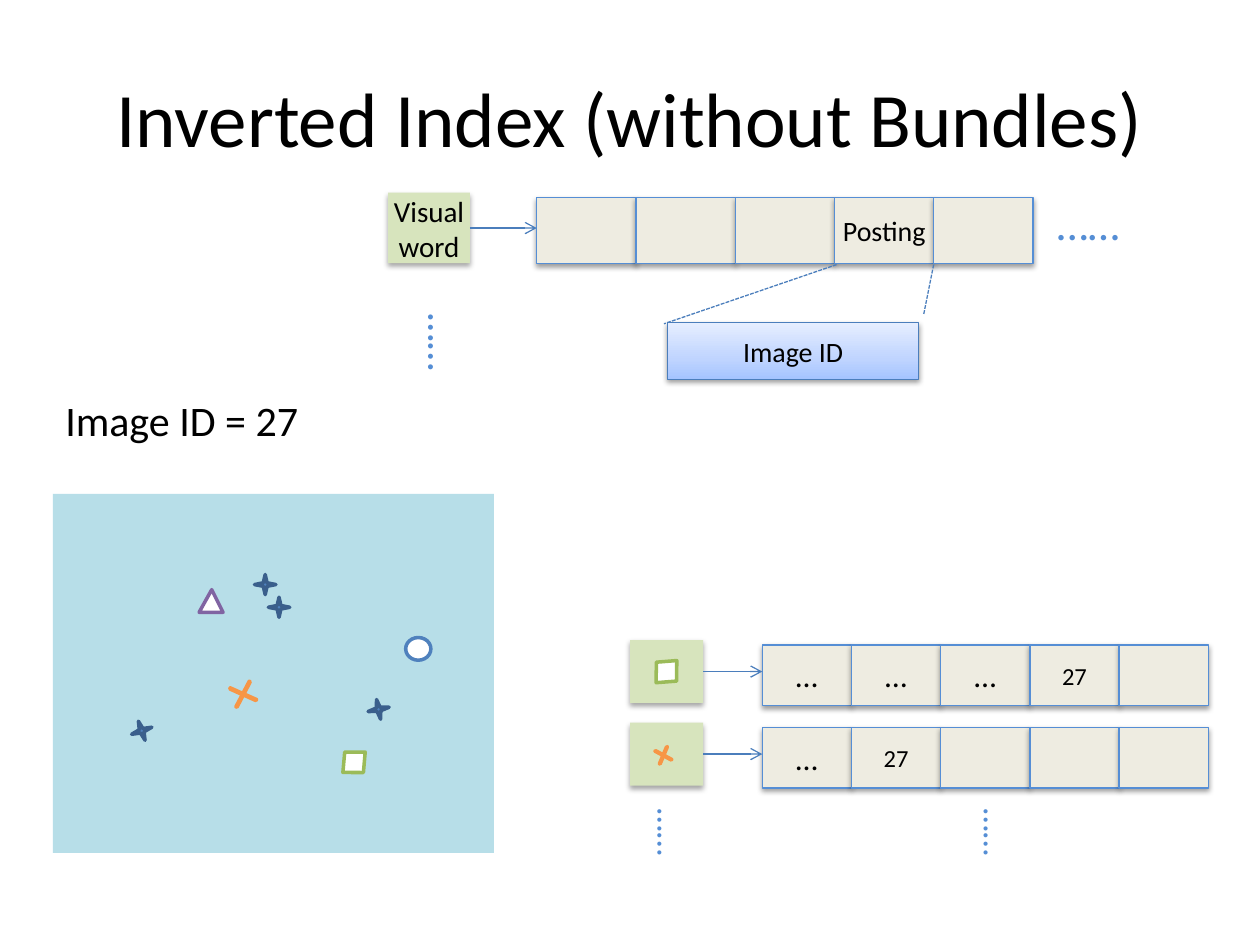
from copy import deepcopy

from lxml import etree
from pptx import Presentation, util as u
from pptx.dml.color import RGBColor
from pptx.enum import dml, shapes, text
from pptx.oxml import ns

# Grid of 100 columns by 75 rows over the slide
W, H = u.Inches(10), u.Inches(7.5)
COLS, ROWS = 100, 75
KIND = shapes.MSO_SHAPE
BLACK, WHITE, BLUE, EDGE = "000000", "FFFFFF", "558ED5", "4B7EBC"
GREEN, SAND = "D7E4BD", "EEECE1"


def rgb(value):
    return RGBColor.from_string(value)


def col(n):
    return int(W * n / COLS)


def row(n):
    return int(H * n / ROWS)


def place(box):
    x, y, w, h = box
    return col(x), row(y), col(w), row(h)


def write(sp, words, size, color=BLACK, align=text.PP_ALIGN.CENTER, inset=None):
    tf = sp.text_frame
    tf.word_wrap = True
    tf.vertical_anchor = text.MSO_ANCHOR.MIDDLE
    if inset:
        tf.margin_left = tf.margin_right = u.Inches(inset[0])
        tf.margin_top = tf.margin_bottom = u.Inches(inset[1])
    tf.text = words
    for p in tf.paragraphs:
        p.alignment = align
        p.font.name, p.font.size = "Calibri", u.Pt(size)
        p.font.color.rgb = rgb(color)
    return tf


def label(s, box, words, size, color=BLACK, align=text.PP_ALIGN.LEFT):
    tf = write(s.shapes.add_textbox(*place(box)), words, size, color, align)
    tf.vertical_anchor = text.MSO_ANCHOR.TOP
    return tf


def dots(s, box, size, vertical=True):
    tf = label(s, box, "……", size, BLUE)
    if vertical:
        tf._txBody.bodyPr.set("vert", "eaVert")


def shape(s, kind, box, fill, line=None, width=0.75, turn=0, adj=None):
    sp = s.shapes.add_shape(kind, *place(box))
    sp.shadow.inherit = False
    sp.rotation = turn
    if adj is not None:
        sp.adjustments[0] = adj
    sp.fill.solid()
    sp.fill.fore_color.rgb = rgb(fill)
    if line:
        sp.line.color.rgb = rgb(line)
        sp.line.width = u.Pt(width)
    else:
        sp.line.fill.background()
    return sp


def add_shadow(sp, alpha=38, dist=1.6):
    effects = sp._element.spPr.find(ns.qn("a:effectLst"))
    shadow = etree.SubElement(effects, ns.qn("a:outerShdw"), blurRad=str(u.Pt(3.1)),
                              dist=str(u.Pt(dist)), dir="5400000", rotWithShape="0")
    color = etree.SubElement(shadow, ns.qn("a:srgbClr"), val=BLACK)
    etree.SubElement(color, ns.qn("a:alpha"), val=str(alpha * 1000))


def connector(s, x1, y1, x2, y2):
    c = s.shapes.add_connector(shapes.MSO_CONNECTOR.STRAIGHT, x1, y1, x2, y2)
    c.line.color.rgb = rgb(EDGE)
    c.line.width = u.Pt(0.75)
    etree.SubElement(c._element.spPr, ns.qn("a:effectLst"))
    return c


def callout_edge(s, x1, y1, x2, y2):
    c = connector(s, col(x1), row(y1), col(x2), row(y2))
    c.line.dash_style = dml.MSO_LINE.SQUARE_DOT


def index_row(s, word_box, cells_box, entries, word=""):
    """A visual word, an arrow and its list of postings."""
    head = shape(s, KIND.RECTANGLE, word_box, GREEN)
    add_shadow(head, 35, 1.8)
    if word:
        write(head, word, 16.6, inset=(0.04, 0.04))

    x, y, w, h = cells_box
    for i, (words, size) in enumerate(entries):
        cell = shape(s, KIND.RECTANGLE, (x + i * w, y, w, h), SAND, BLUE)
        add_shadow(cell)
        if words:
            write(cell, words, size, inset=(0.04, 0.05))

    middle = head.top + head.height // 2
    arrow = connector(s, head.left + head.width, middle, col(x), middle)
    arrow.begin_connect(head, 3)
    ln = arrow._element.spPr.find(ns.qn("a:ln"))
    etree.SubElement(ln, ns.qn("a:tailEnd"), type="arrow")


def gradient(sp, stops):
    sp.fill.gradient()
    sp.fill.gradient_angle = 90
    stop_list = sp._element.spPr.find(".//" + ns.qn("a:gsLst"))
    while len(stop_list) < len(stops):
        stop_list.append(deepcopy(stop_list[-1]))
    for stop, (position, color) in zip(sp.fill.gradient_stops, stops):
        stop.position = position
        stop.color.rgb = rgb(color)


def star(s, x, y, turn=0):
    shape(s, KIND.STAR_4_POINT, (x, y, 1.7, 1.6), "4F81BD", "3A5F8C", 2, turn)


def cross(s, box):
    shape(s, KIND.MATH_MULTIPLY, box, WHITE, "F79646", 2, 340.8, 0.03)


def square(s, x, y, turn):
    shape(s, KIND.DIAMOND, (x, y, 2.4, 2.2), WHITE, "9BBB59", 2, turn)


def sample_image(s):
    shape(s, KIND.RECTANGLE, (4.2, 39.2, 35, 28.5), "B7DEE8")
    shape(s, KIND.ISOSCELES_TRIANGLE, (15.8, 46.8, 1.9, 1.8), WHITE, "8064A2", 2, adj=0.53)
    for x, y, turn in [(20.2, 45.6, 0), (21.3, 47.4, 0),
                       (10.4, 57.2, 340.8), (29.2, 55.5, 348.4)]:
        star(s, x, y, turn)
    cross(s, (17.7, 53.6, 3.2, 3))
    shape(s, KIND.OVAL, (32.2, 50.6, 2, 1.8), WHITE, "4F81BD", 2)
    square(s, 26.9, 59.4, 317.6)


def index_structure(s):
    blank = ("", 16)
    index_row(s, (30.8, 15.3, 6.5, 5.6), (42.6, 15.7, 7.88, 5.2),
              [blank] * 3 + [("Posting", 16), blank], "Visual\nword")
    dots(s, (82.9, 15, 7.1, 4.6), 25.9, vertical=False)
    dots(s, (32.3, 23.9, 5.5, 6.8), 23.8)

    # Content of one posting
    detail = shape(s, KIND.RECTANGLE, (53, 25.6, 19.9, 4.5), WHITE, EDGE)
    gradient(detail, [(0, "A4C4FF"), (0.35, "BFD4FF"), (1, "E6EEFF")])
    add_shadow(detail)
    write(detail, "Image ID", 16, inset=(0, 0.05))
    callout_edge(s, 66.4, 21, 52.7, 25.7)
    callout_edge(s, 74.1, 21, 73.3, 25)


def index_example(s):
    more, hit, blank = ("…", 18), ("27", 14), ("", 14)
    lists = [[more] * 3 + [hit, blank], [more, hit] + [blank] * 3]
    for i, entries in enumerate(lists):
        y = 50.8 + i * 6.55
        index_row(s, (50, y, 5.8, 5), (60.5, y + 0.4, 7.08, 4.8), entries)
    square(s, 51.7, 52.2, 313)
    cross(s, (51.7, 58.9, 1.9, 2.1))
    for x in (50.7, 76.6):
        dots(s, (x, 63.2, 4.7, 5.9), 19.6)


def main():
    prs = Presentation()
    prs.slide_width, prs.slide_height = W, H
    s = prs.slides.add_slide(prs.slide_layouts[6])

    # Title
    title = label(s, (5, 3, 90, 12.5), "Inverted Index (without Bundles)", 44,
                  align=text.PP_ALIGN.CENTER)
    title.vertical_anchor = text.MSO_ANCHOR.MIDDLE

    # Image with its features, and the index built from it
    sample_image(s)
    caption = label(s, (4.2, 30.8, 20.6, 5), "Image ID = 27", 24)
    caption.word_wrap = False
    caption.auto_size = text.MSO_AUTO_SIZE.SHAPE_TO_FIT_TEXT
    index_structure(s)
    index_example(s)

    prs.save("out.pptx")


if __name__ == "__main__":
    main()
